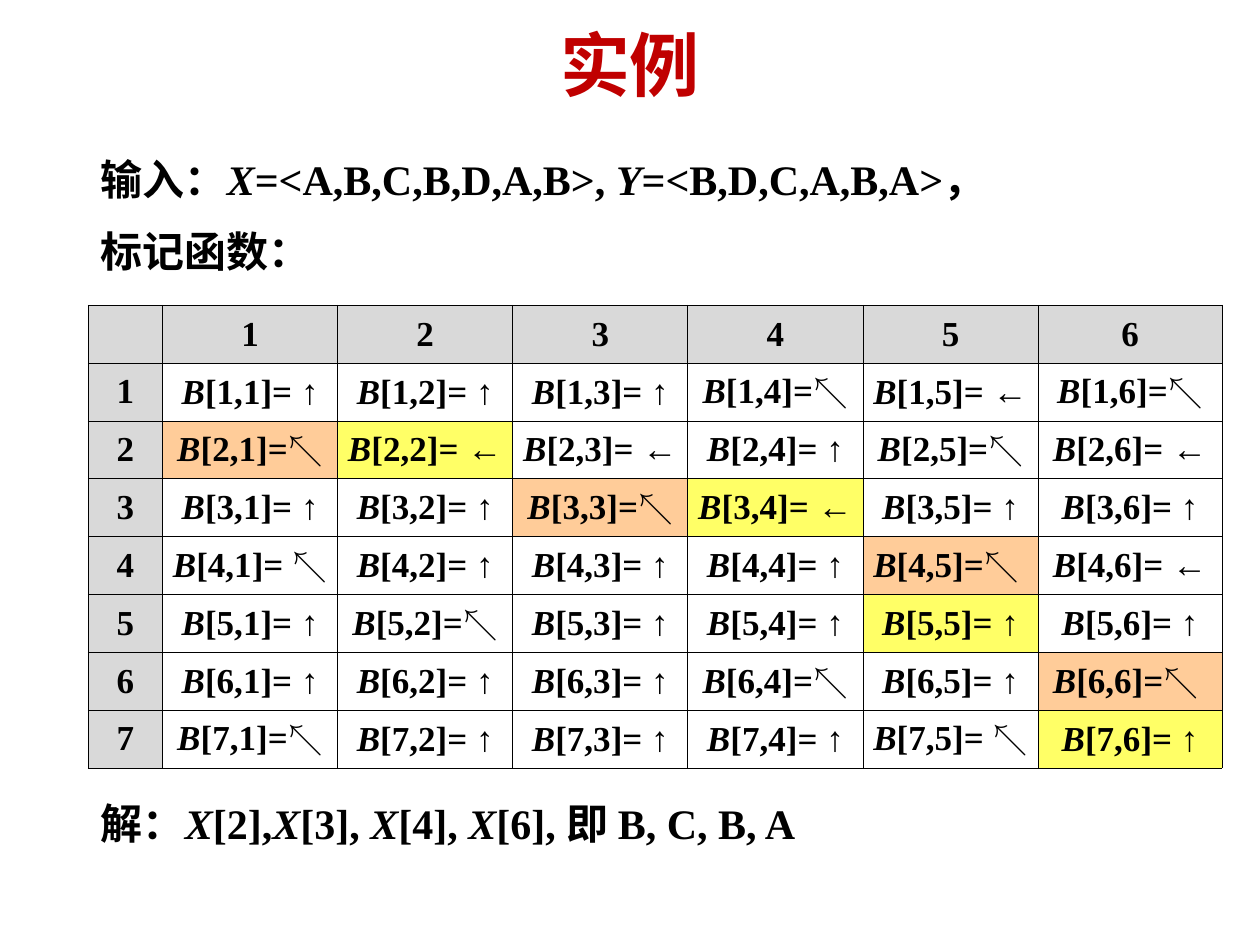
from lxml.etree import SubElement
from pptx import Presentation
from pptx.dml.color import RGBColor
from pptx.enum.text import MSO_ANCHOR as Anchor, MSO_AUTO_SIZE as AutoSize, PP_ALIGN as Align
from pptx.oxml.ns import qn
from pptx.util import Inches, Pt

BLACK = RGBColor(0x00, 0x00, 0x00)
WHITE = RGBColor(0xFF, 0xFF, 0xFF)
RED = RGBColor(0xC0, 0x00, 0x00)
GRAY = RGBColor(0xD9, 0xD9, 0xD9)
ORANGE = RGBColor(0xFF, 0xCC, 0x99)
YELLOW = RGBColor(0xFF, 0xFF, 0x66)
SERIF = "Times New Roman"

deck = Presentation()
deck.slide_width, deck.slide_height = Inches(10), Inches(7.5)
W, H = deck.slide_width, deck.slide_height
slide = deck.slides.add_slide(deck.slide_layouts[1])
heading, problem = slide.placeholders


def place(holder, left, top, width, height):
    bounds = {"left": W * left, "top": H * top, "width": W * width, "height": H * height}
    for name, value in bounds.items():
        setattr(holder, name, int(value))


def write(paragraph, pieces, size, color=BLACK, font=SERIF):
    for text in pieces:
        run = paragraph.add_run()
        run.text = text
        look = {"size": Pt(size), "bold": True, "italic": text in ("X", "Y", "B"),
                "name": "Arial" if text in ("↑", "←") else font}
        for name, value in look.items():
            setattr(run.font, name, value)
        run.font.color.rgb = color


place(heading, 0.05, 0.021, 0.9, 0.092)
heading.text_frame.vertical_anchor = Anchor.MIDDLE
heading.text_frame.paragraphs[0].alignment = Align.CENTER
write(heading.text_frame.paragraphs[0], ["实例"], 40, RED, "Calibri")

place(problem, 0.07, 0.156, 0.875, 0.8)
problem.text_frame.word_wrap = True
problem.text_frame.auto_size = AutoSize.SHAPE_TO_FIT_TEXT
statements = [
    (0, ["输入：", "X", "=<A,B,C,B,D,A,B>, ", "Y", "=<B,D,C,A,B,A>，"]),
    (12, ["标记函数："]),
    (298, ["解：", "X", "[2],", "X", "[3], ", "X", "[4], ", "X", "[6], 即 B, C, B, A"]),
]
for number, (gap, pieces) in enumerate(statements):
    frame = problem.text_frame
    line = frame.add_paragraph() if number else frame.paragraphs[0]
    layout = line._p.get_or_add_pPr()
    layout.set("marL", "0")
    layout.set("indent", "0")
    SubElement(layout, qn("a:buNone"))
    line.space_before = Pt(gap)
    write(line, pieces, 24)

directions = ["↑↑↑↖←↖", "↖←←↑↖←", "↑↑↖←↑↑", "↖↑↑↑↖←", "↑↖↑↑↑↑", "↑↑↑↖↑↖", "↖↑↑↑↖↑"]
matches = {(2, 1), (3, 3), (4, 5), (6, 6)}
moves = {(2, 2), (3, 4), (5, 5), (7, 6)}
space_before_arrow = {(4, 1), (7, 5)}
space_after_arrow = {(4, 5), (6, 6)}

shares = [0.059] + [0.139] * 5 + [0.146]
grid_bounds = [W * 0.07, H * 0.323, W * sum(shares), H * 0.49]
marks = slide.shapes.add_table(8, 7, *map(int, grid_bounds)).table
marks.first_row = marks.horz_banding = False
for column, share in zip(marks.columns, shares):
    column.width = int(W * share)

for i in range(8):
    for j in range(7):
        cell = marks.cell(i, j)
        spacing = {"vertical_anchor": Anchor.MIDDLE, "margin_left": Inches(0.07),
                   "margin_right": Inches(0.07), "margin_top": Inches(0.05),
                   "margin_bottom": Inches(0.05)}
        for name, value in spacing.items():
            setattr(cell, name, value)

        for edge in ("a:lnL", "a:lnR", "a:lnT", "a:lnB"):
            border = SubElement(cell._tc.get_or_add_tcPr(), qn(edge), w=str(Pt(0.45)))
            SubElement(SubElement(border, qn("a:solidFill")), qn("a:srgbClr"), val=str(BLACK))

        header = i == 0 or j == 0
        color = (GRAY if header else ORANGE if (i, j) in matches
                 else YELLOW if (i, j) in moves else WHITE)
        cell.fill.solid()
        cell.fill.fore_color.rgb = color

        if header:
            pieces = [str(i + j)] if i + j else []
        else:
            arrow = directions[i - 1][j - 1]
            index = f"[{i},{j}]="
            if arrow == "↖":
                before = " " if (i, j) in space_before_arrow else ""
                after = " " if (i, j) in space_after_arrow else ""
                pieces = ["B", index + before + arrow + after]
            else:
                pieces = ["B", index + " ", arrow]
        entry = cell.text_frame.paragraphs[0]
        entry.alignment = Align.CENTER
        write(entry, pieces, 20)

deck.save("out.pptx")
